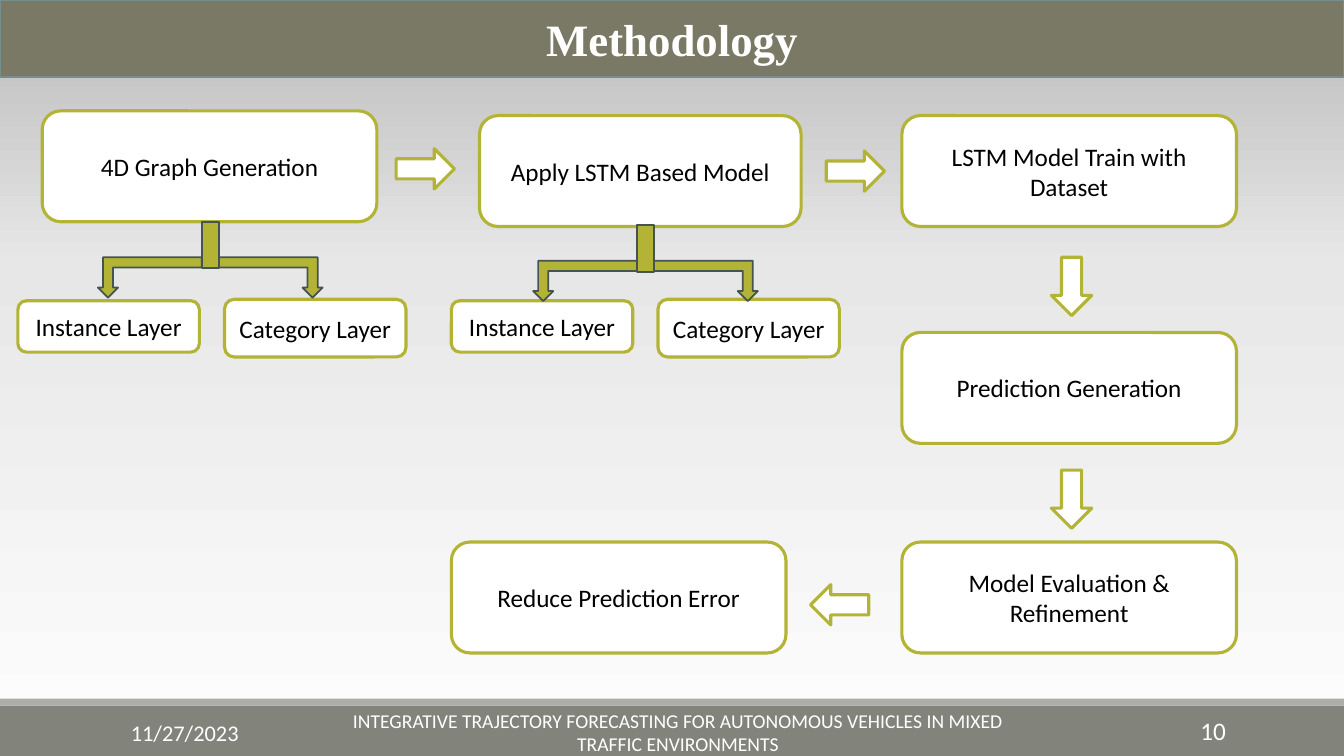
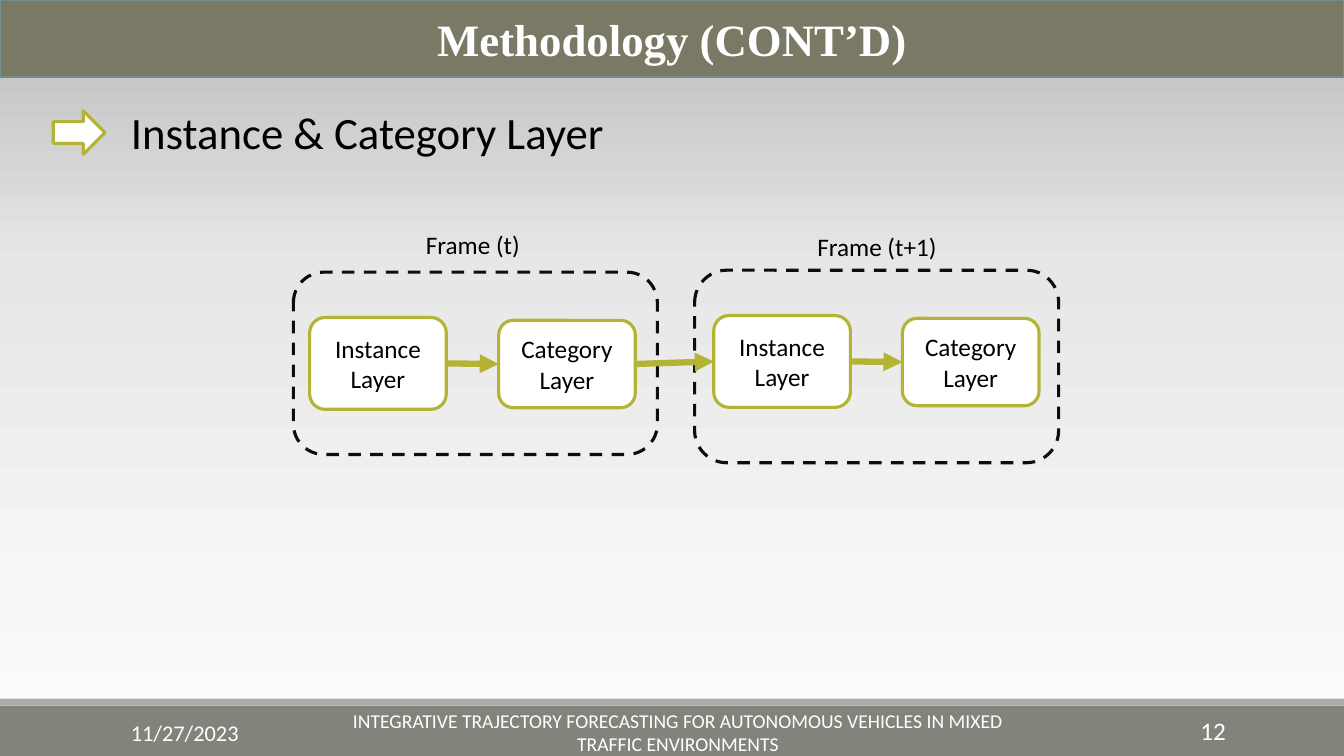
from copy import deepcopy
from lxml import etree
from pptx import Presentation
from pptx.dml.color import RGBColor
from pptx.enum.dml import MSO_LINE as Dash
from pptx.enum.shapes import MSO_CONNECTOR as Link, MSO_SHAPE as Kind
from pptx.enum.text import MSO_ANCHOR as Anchor, PP_ALIGN as Align
from pptx.oxml.ns import qn
from pptx.util import Pt

COLORS = {
    "white": "FFFFFF", "black": "000000", "dash": "0D0D0D",
    "olive": "B3B435", "edge": "455453",
    "title": "797965", "title_edge": "748D8D",
    "footer": "82847C", "strip": "ACADA8",
}
BACKGROUND = [(0, "FEFEFE"), (0.65, "E7E7E7"), (1, "B9B9B9")]
WIDTH, HEIGHT = 960, 540
FOOTER = "INTEGRATIVE TRAJECTORY FORECASTING FOR AUTONOMOUS VEHICLES IN MIXED TRAFFIC ENVIRONMENTS"


def color(name):
    return RGBColor.from_string(COLORS[name])


def write(box, text, size=18, font="Calibri", ink="black", bold=False,
          align=Align.CENTER, anchor=Anchor.MIDDLE):
    frame = box.text_frame
    frame.word_wrap = True
    frame.vertical_anchor = anchor
    para = frame.paragraphs[0]
    para.alignment = align
    span = para.add_run()
    span.text = text
    span.font.size = Pt(size)
    span.font.name = font
    span.font.bold = bold
    span.font.color.rgb = color(ink)


def draw(page, kind, left, top, width, height, fill="white", line="olive",
         weight=2.25, turn=0):
    shape = page.shapes.add_shape(kind, Pt(left), Pt(top), Pt(width), Pt(height))
    shape.shadow.inherit = False
    shape.rotation = turn
    if fill:
        shape.fill.solid()
        shape.fill.fore_color.rgb = color(fill)
    else:
        shape.fill.background()
    if line:
        shape.line.color.rgb = color(line)
        shape.line.width = Pt(weight)
    else:
        shape.line.fill.background()
    return shape


deck = Presentation()
deck.slide_width, deck.slide_height = Pt(WIDTH), Pt(HEIGHT)

backdrop = deck.slide_master.background.fill
backdrop.gradient()
backdrop.gradient_angle = 90
stop_list = next(deck.slide_master.element.iter(qn("a:gsLst")))
stop_list.insert(1, deepcopy(stop_list[0]))
for stop, (position, shade) in zip(backdrop.gradient_stops, BACKGROUND):
    stop.position = position
    stop.color.rgb = RGBColor.from_string(shade)

pages = []
for title, number in [("Methodology", "10"), ("Methodology (CONT’D)", "12")]:
    page = deck.slides.add_slide(deck.slide_layouts[6])
    pages.append(page)
    draw(page, Kind.RECTANGLE, 0, 504, WIDTH, 36, fill="footer", line=None)
    draw(page, Kind.RECTANGLE, 0, 499, WIDTH, 5, fill="strip", line=None)
    band = draw(page, Kind.RECTANGLE, 0, 0, WIDTH, 55.2,
                fill="title", line="title_edge", weight=1.25)
    write(band, title, size=32, font="Times New Roman", ink="white", bold=True)
    for text, left, top, width, size, align in [
        ("11/27/2023", 86.4, 508.6, 194.4, 16, Align.LEFT),
        (FOOTER, 243.4, 508.6, 481.7, 14, Align.CENTER),
        (number, 779.8, 507, 103, 18, Align.RIGHT),
    ]:
        box = page.shapes.add_textbox(Pt(left), Pt(top), Pt(width), Pt(28.8))
        write(box, text, size=size, ink="white", align=align)

flow, frames = pages

for text, left, top, width in [
    ("4D Graph Generation", 30.2, 79.2, 239),
    ("Apply LSTM Based Model", 342.5, 82.6, 229.7),
    ("LSTM Model Train with Dataset", 644.2, 82.6, 239),
    ("Prediction Generation", 644.2, 237.5, 239),
    ("Model Evaluation & Refinement", 644.2, 387.2, 239),
    ("Reduce Prediction Error", 322.4, 387.2, 239),
]:
    write(draw(flow, Kind.ROUNDED_RECTANGLE, left, top, width, 79.2), text)

for left, top, turn in [
    (283, 106.2, 0), (590.2, 107.8, 0),
    (744.6, 190.2, 90), (744.6, 342.2, 90), (579, 417.6, 180),
]:
    draw(flow, Kind.RIGHT_ARROW, left, top, 41.6, 28.8, turn=turn)

for layers_left, stem_left, stem_top in [(12.8, 144.1, 158.5), (322.4, 455, 161)]:
    for text, left, top, height in [
        ("Instance Layer", layers_left, 214.8, 36.7),
        ("Category Layer", layers_left + 147.6, 213.8, 41.2),
    ]:
        write(draw(flow, Kind.ROUNDED_RECTANGLE, left, top, 129.6, height), text)
    for left, mirrored in [(stem_left - 74.2, False), (stem_left + 12.2, True)]:
        branch = draw(flow, Kind.BENT_UP_ARROW, left, stem_top + 25.3, 74.2, 28.8,
                      fill="olive", line="edge", weight=1.25, turn=180)
        if mirrored:
            branch.element.spPr.find(qn("a:xfrm")).set("flipH", "1")
    draw(flow, Kind.RECTANGLE, stem_left, stem_top, 12.2, 33.1,
         fill="olive", line="edge", weight=1.25)

draw(frames, Kind.RIGHT_ARROW, 38, 79.2, 37, 31)
heading = frames.shapes.add_textbox(Pt(86.4), Pt(71.3), Pt(383), Pt(46))
write(heading, "Instance & Category Layer", size=32, align=Align.LEFT, anchor=Anchor.TOP)

layers = []
for label, label_left, label_top, left, top, height, instance_left, category_left in [
    ("Frame (t)", 247, 160, 209.6, 194.4, 130.2, 221.2, 356.2),
    ("Frame (t+1)", 535.7, 161.8, 496.2, 193, 137.5, 509.8, 644.6),
]:
    outline = draw(frames, Kind.ROUNDED_RECTANGLE, left, top, 260, height,
                   fill=None, line="dash")
    outline.line.dash_style = Dash.DASH
    caption = frames.shapes.add_textbox(Pt(label_left), Pt(label_top), Pt(181.4), Pt(28.8))
    write(caption, label, anchor=Anchor.TOP)
    for text, layer_left, drop, layer_height in [
        ("Instance Layer", instance_left, 32.4, 65.6),
        ("Category Layer", category_left, 34.4, 62.4),
    ]:
        layer = draw(frames, Kind.ROUNDED_RECTANGLE, layer_left, top + drop, 97.6, layer_height)
        write(layer, text)
        layers.append(layer)

for source, target in zip(layers, layers[1:]):
    arrow = frames.shapes.add_connector(Link.STRAIGHT, 0, 0, 0, 0)
    arrow.begin_connect(source, 3)
    arrow.end_connect(target, 1)
    arrow.line.color.rgb = color("olive")
    arrow.line.width = Pt(4.5)
    etree.SubElement(arrow.line._get_or_add_ln(), qn("a:tailEnd"), type="triangle")
    etree.SubElement(arrow.element.spPr, qn("a:effectLst"))

deck.save("out.pptx")
